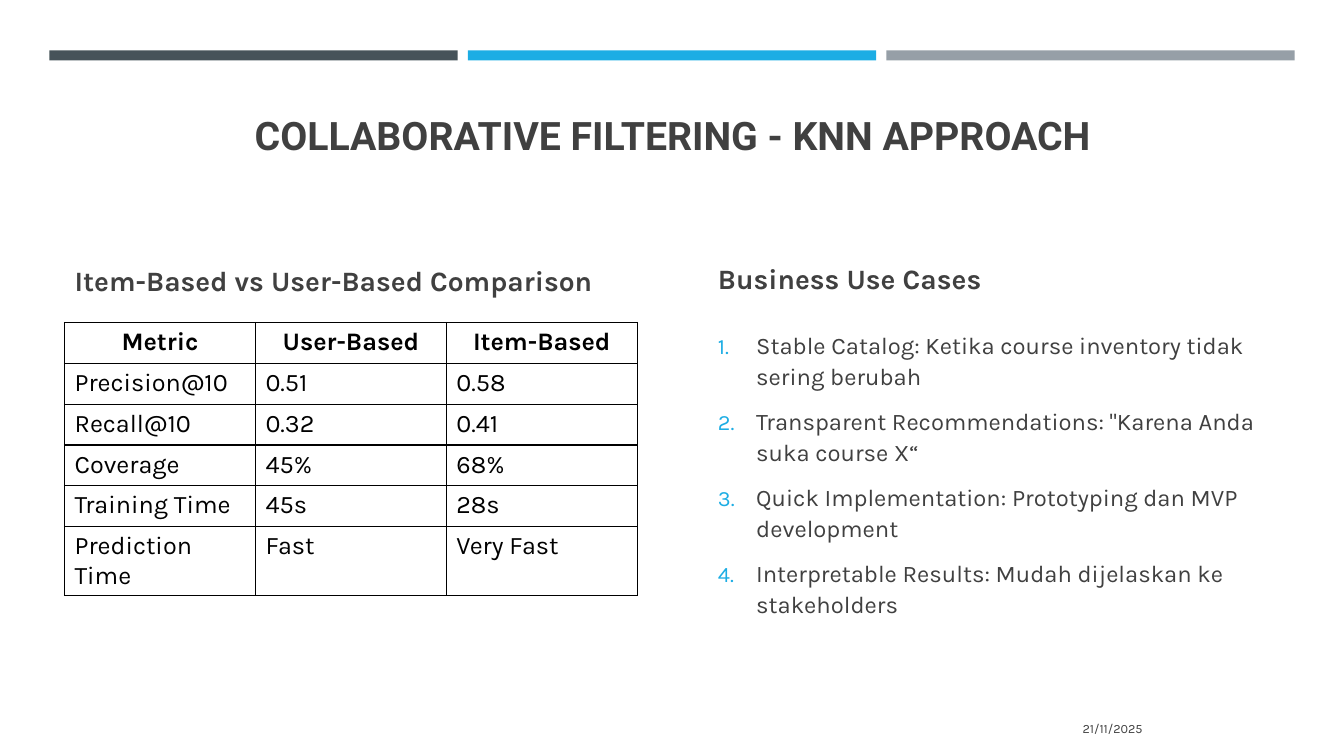
from lxml.etree import SubElement
from pptx import Presentation
from pptx.dml.color import RGBColor
from pptx.enum.shapes import MSO_SHAPE
from pptx.enum.text import MSO_ANCHOR, MSO_AUTO_SIZE, PP_ALIGN
from pptx.oxml import parse_xml
from pptx.oxml.ns import nsdecls, qn
from pptx.util import Inches, Pt

WIDTH, HEIGHT = 13.33, 7.5
MARGIN, COL_W, COL_STEP = 0.64, 5.68, 6.38
HEAD_Y, HEAD_H = 2.46, 0.61
CONTENT_Y = 3.2
INK, ACCENT, BLACK = "404040", "1CADE4", "000000"
BARS = ["465359", ACCENT, "969FA7"]
METRICS = [
    ("Metric", "User-Based", "Item-Based"),
    ("Precision@10", "0.51", "0.58"),
    ("Recall@10", "0.32", "0.41"),
    ("Coverage", "45%", "68%"),
    ("Training Time", "45s", "28s"),
    ("Prediction Time", "Fast", "Very Fast"),
]
USE_CASES = [
    "Stable Catalog: Ketika course inventory tidak sering berubah",
    "Transparent Recommendations: \"Karena Anda suka course X“",
    "Quick Implementation: Prototyping dan MVP development",
    "Interpretable Results: Mudah dijelaskan ke stakeholders",
]


def rgb(value):
    return RGBColor.from_string(value)


def place(sp, box):
    sp.left, sp.top, sp.width, sp.height = map(Inches, box)


def write(p, text, size, color=INK, font="Karla", bold=False,
          align=PP_ALIGN.LEFT, line=1.0, before=0, after=0):
    p.alignment, p.line_spacing = align, line
    p.space_before, p.space_after = Pt(before), Pt(after)
    r = p.add_run()
    r.text = text
    r.font.size, r.font.name, r.font.bold = Pt(size), font, bold
    r.font.color.rgb = rgb(color)


def frame(sp, anchor):
    tf = sp.text_frame
    tf.word_wrap, tf.auto_size = True, MSO_AUTO_SIZE.NONE
    tf.vertical_anchor = anchor
    return tf


def text_box(sp, box, text, size, **fmt):
    place(sp, box)
    write(frame(sp, MSO_ANCHOR.MIDDLE).paragraphs[0], text, size, **fmt)


def number(p):
    pPr = p._p.get_or_add_pPr()
    pPr.set("marL", str(Inches(0.38)))
    pPr.set("indent", str(Inches(-0.38)))
    clr = SubElement(pPr, qn("a:buClr"))
    SubElement(clr, qn("a:srgbClr"), val=ACCENT)
    SubElement(pPr, qn("a:buSzPct"), val="92000")
    SubElement(pPr, qn("a:buFont"), typeface="Karla")
    SubElement(pPr, qn("a:buAutoNum"), type="arabicPeriod")


def border(cell):
    tcPr = cell._tc.get_or_add_tcPr()
    for i, side in enumerate(("lnL", "lnR", "lnT", "lnB")):
        tcPr.insert(i, parse_xml(
            f'<a:{side} {nsdecls("a")} w="{Pt(1)}"><a:solidFill>'
            f'<a:srgbClr val="{BLACK}"/></a:solidFill></a:{side}>'))


def accent_bars(s, box):
    x, y, w, h = box
    gap = 0.1
    bar_w = (w - gap * (len(BARS) - 1)) / len(BARS)
    for i, color in enumerate(BARS):
        sp = s.shapes.add_shape(MSO_SHAPE.RECTANGLE, 0, 0, 0, 0)
        place(sp, (x + i * (bar_w + gap), y, bar_w, h))
        sp.shadow.inherit = False
        sp.fill.solid()
        sp.fill.fore_color.rgb = rgb(color)
        sp.line.fill.background()


def metric_table(s, box):
    x, y, w, h = map(Inches, box)
    table = s.shapes.add_table(len(METRICS), len(METRICS[0]), x, y, w, h).table
    table.first_row = table.horz_banding = False
    for i, row in enumerate(METRICS):
        for j, text in enumerate(row):
            cell = table.cell(i, j)
            cell.fill.background()
            border(cell)
            write(cell.text_frame.paragraphs[0], text, 18, color=BLACK, bold=i == 0,
                  align=PP_ALIGN.LEFT if i else PP_ALIGN.CENTER)


def use_case_list(sp, box):
    place(sp, box)
    tf = frame(sp, MSO_ANCHOR.TOP)
    for i, text in enumerate(USE_CASES):
        p = tf.add_paragraph() if i else tf.paragraphs[0]
        write(p, text, 17, line=1.1, before=3.4, after=6)
        number(p)


def comparison_slide(prs):
    s = prs.slides.add_slide(prs.slide_layouts[4])
    holders = {sp.placeholder_format.idx: sp for sp in s.placeholders}
    unused = holders[2].element
    unused.getparent().remove(unused)
    right = MARGIN + COL_STEP

    accent_bars(s, (0.49, 0.5, 12.35, 0.1))
    text_box(s.shapes.title, (MARGIN, 0.8, COL_STEP + COL_W, 1.08),
             "COLLABORATIVE FILTERING - KNN APPROACH", 28, font="Roboto",
             bold=True, align=PP_ALIGN.CENTER)
    text_box(holders[1], (MARGIN, HEAD_Y, COL_W, HEAD_H),
             "Item-Based vs User-Based Comparison", 20, bold=True,
             line=1.1, before=4, after=6)
    metric_table(s, (MARGIN, CONTENT_Y, COL_W, 2.43))
    text_box(holders[3], (right, HEAD_Y, COL_W, HEAD_H),
             "Business Use Cases", 20, bold=True, before=4, after=6)
    use_case_list(holders[4], (right, CONTENT_Y, COL_W, 3.21))
    text_box(s.shapes.add_textbox(0, 0, 0, 0), (8.32, 7.03, 3.11, 0.4),
             "21/11/2025", 9, align=PP_ALIGN.RIGHT)


def main():
    prs = Presentation()
    prs.slide_width, prs.slide_height = Inches(WIDTH), Inches(HEIGHT)
    comparison_slide(prs)
    prs.save("out.pptx")


if __name__ == "__main__":
    main()
